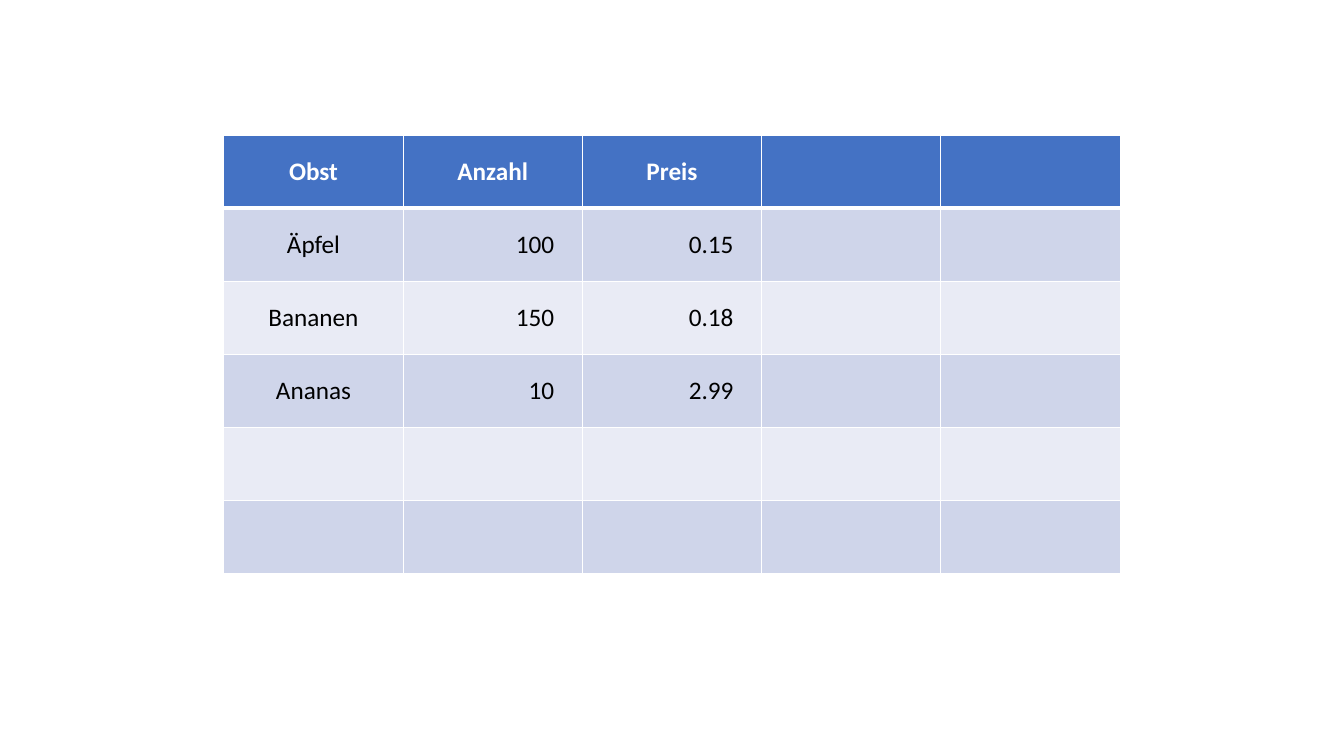
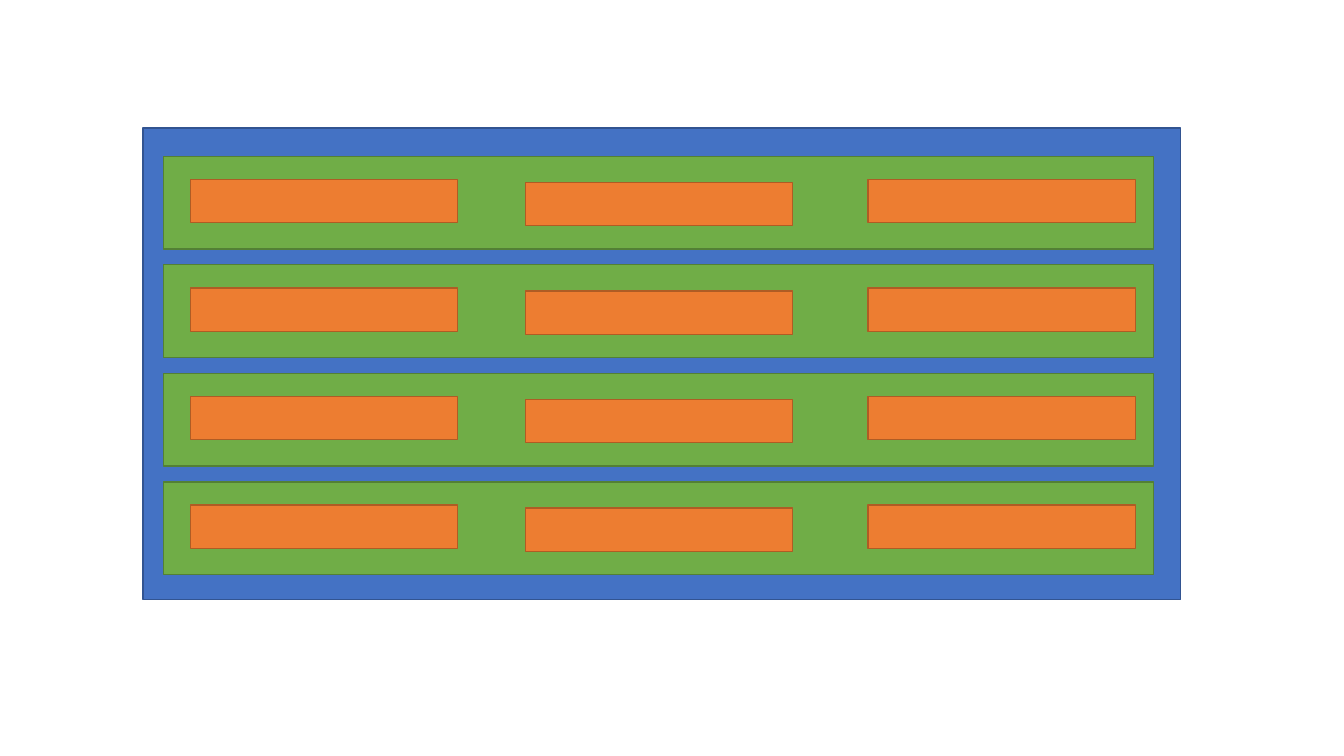
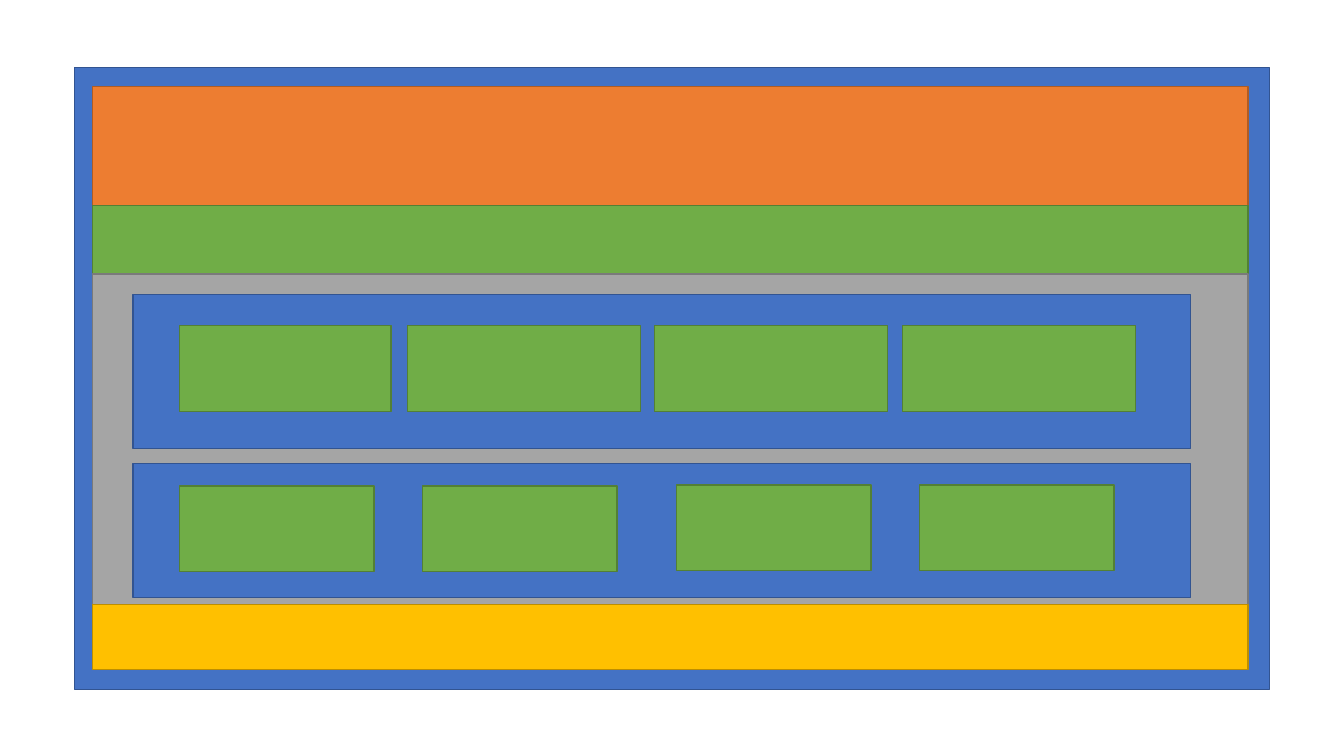
from dataclasses import dataclass

from lxml.etree import SubElement
from pptx import Presentation
from pptx.dml.color import RGBColor
from pptx.enum.shapes import MSO_SHAPE as Preset
from pptx.enum.text import MSO_ANCHOR as Anchor, PP_ALIGN as Align
from pptx.oxml.ns import qn
from pptx.util import Inches, Pt


@dataclass(frozen=True)
class Theme:
    font: str = "Calibri"
    text_size: float = 18
    line_width: float = 1
    header_rule: float = 3
    white: str = "FFFFFF"
    black: str = "000000"
    header: str = "4472C4"
    bands: tuple = ("CFD5EA", "E9EBF5")
    blue: tuple = ("4472C4", "325491")
    green: tuple = ("70AD47", "538035")
    orange: tuple = ("ED7D31", "AF5C24")
    gray: tuple = ("A5A5A5", "7A7A7A")
    yellow: tuple = ("FFC000", "BD8E00")


THEME = Theme()
FRUIT_ROWS = [
    ("Obst", "Anzahl", "Preis"),
    ("Äpfel", "100", "0.15"),
    ("Bananen", "150", "0.18"),
    ("Ananas", "10", "2.99"),
]


def apply_format(target, values):
    for name, value in values.items():
        setattr(target, name, value)


def paint(fill, color):
    fill.solid()
    fill.fore_color.rgb = RGBColor.from_string(color)


def add_page(deck):
    return deck.slides.add_slide(deck.slide_layouts[6])


def add_block(page, left, top, width, height, colors):
    block = page.shapes.add_shape(Preset.RECTANGLE, *map(Inches, (left, top, width, height)))
    fill_color, line_color = colors
    paint(block.fill, fill_color)
    paint(block.line.fill, line_color)
    block.line.width = Pt(THEME.line_width)
    block.shadow.inherit = False


def add_borders(cell, widths):
    properties = cell._tc.get_or_add_tcPr()
    for side, width in widths.items():
        line = SubElement(properties, qn(f"a:ln{side}"), w=str(Pt(width)))
        solid = SubElement(line, qn("a:solidFill"))
        SubElement(solid, qn("a:srgbClr"), val=THEME.white)


def write_cell(cell, text, is_header, is_number):
    cell.vertical_anchor = Anchor.MIDDLE
    if is_number:
        cell.margin_right = Inches(0.28)
    para = cell.text_frame.paragraphs[0]
    para.alignment = Align.RIGHT if is_number else Align.CENTER
    span = para.add_run()
    span.text = text
    apply_format(span.font, {"name": THEME.font, "size": Pt(THEME.text_size), "bold": is_header})
    span.font.color.rgb = RGBColor.from_string(THEME.white if is_header else THEME.black)


def add_fruit_table(page, rows, row_count, column_count):
    area = map(Inches, (2.22, 1.34, 8.89, 4.35))
    table = page.shapes.add_table(row_count, column_count, *area).table
    apply_format(table, {"first_row": False, "horz_banding": False})
    for r in range(row_count):
        is_header = r == 0
        color = THEME.header if is_header else THEME.bands[(r - 1) % 2]
        thin, thick = THEME.line_width, THEME.header_rule
        widths = {"L": thin, "R": thin, "T": thick if r == 1 else thin,
                  "B": thick if is_header else thin}
        for c in range(column_count):
            cell = table.cell(r, c)
            add_borders(cell, widths)
            paint(cell.fill, color)
            if r < len(rows) and c < len(rows[r]):
                write_cell(cell, rows[r][c], is_header, not is_header and c > 0)


def build_table_page(deck):
    add_fruit_table(add_page(deck), FRUIT_ROWS, row_count=6, column_count=5)


def build_grid_page(deck):
    page = add_page(deck)
    add_block(page, 1.42, 1.27, 10.29, 4.68, THEME.blue)
    first_top, last_top, row_count = 1.55, 4.78, 4
    pitch = (last_top - first_top) / (row_count - 1)
    for row in range(row_count):
        top = first_top + row * pitch
        add_block(page, 1.62, top, 9.82, 0.92, THEME.green)
        for left, inset in ((1.89, 0.23), (5.21, 0.26), (8.61, 0.23)):
            add_block(page, left, top + inset, 2.65, 0.43, THEME.orange)


def build_layout_page(deck):
    page = add_page(deck)
    add_block(page, 0.74, 0.67, 11.85, 6.17, THEME.blue)

    top = 0.86
    for height, colors in ((1.18, THEME.orange), (0.68, THEME.green),
                           (3.28, THEME.gray), (0.64, THEME.yellow)):
        add_block(page, 0.92, top, 11.46, height, colors)
        top += height

    upper_cards = [(1.78, 3.23, 2.1), (4.04, 3.23, 2.31), (6.49, 3.23, 2.31), (8.95, 3.23, 2.31)]
    lower_cards = [(1.78, 4.82, 1.93), (4.19, 4.82, 1.93), (6.71, 4.81, 1.93), (9.12, 4.81, 1.93)]
    for panel_top, panel_height, cards in ((2.92, 1.53, upper_cards), (4.6, 1.33, lower_cards)):
        add_block(page, 1.32, panel_top, 10.49, panel_height, THEME.blue)
        for left, card_top, width in cards:
            add_block(page, left, card_top, width, 0.85, THEME.green)


def main():
    deck = Presentation()
    apply_format(deck, {"slide_width": Inches(13.33), "slide_height": Inches(7.5)})
    for build in (build_table_page, build_grid_page, build_layout_page):
        build(deck)
    deck.save("out.pptx")


if __name__ == "__main__":
    main()
